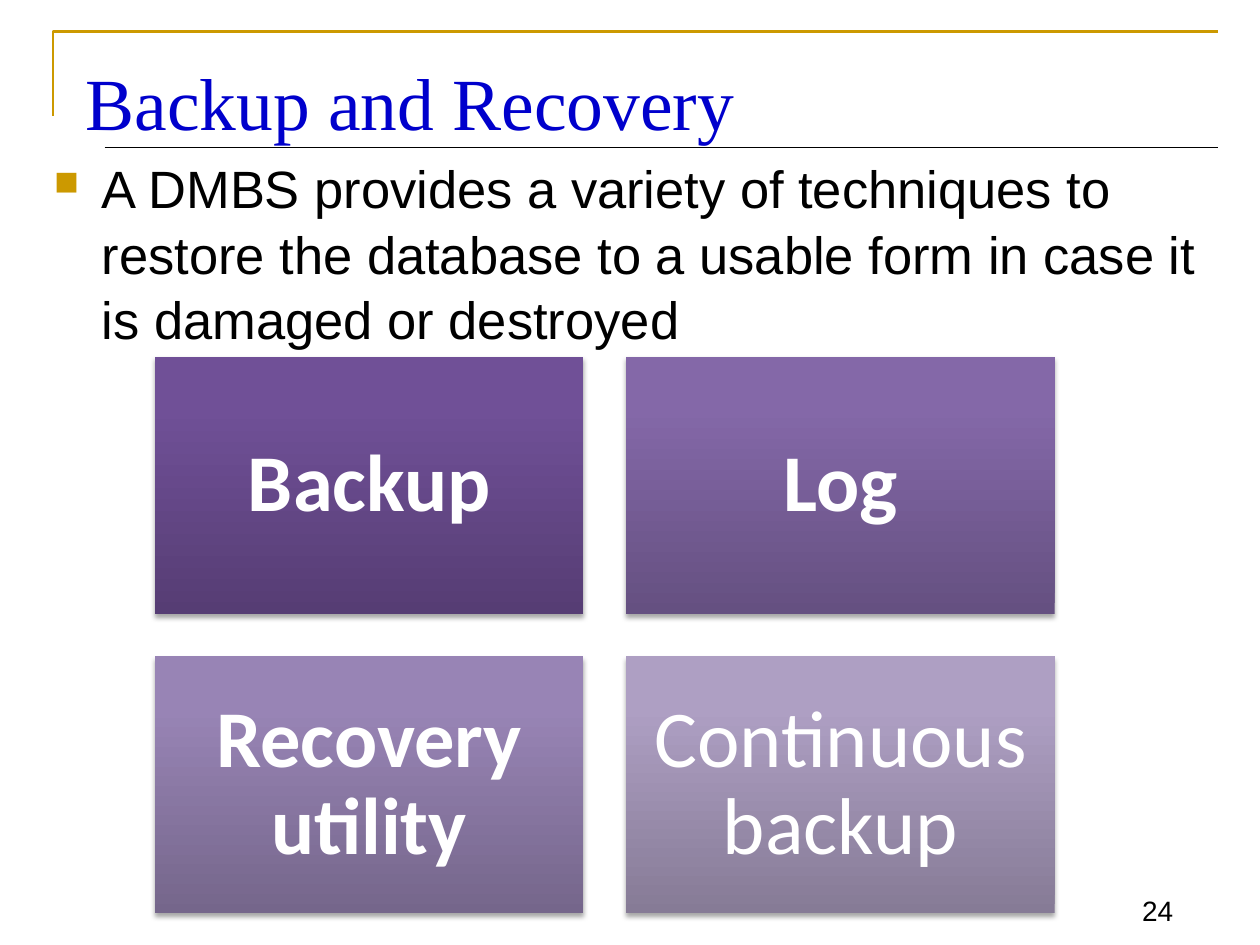
from copy import deepcopy

from lxml import etree
from pptx import Presentation
from pptx import util as u
from pptx.dml.color import RGBColor
from pptx.enum import shapes, text
from pptx.oxml import parse_xml
from pptx.oxml.ns import nsdecls, qn

GOLD = RGBColor(0xCC, 0x99, 0x00)
BLUE = RGBColor(0x00, 0x00, 0xCC)
BLACK = RGBColor(0x00, 0x00, 0x00)
WHITE = RGBColor(0xFF, 0xFF, 0xFF)

# Card label, bold, gradient colours from bottom to top
CARDS = [
    ("Backup", True, ("563D74", "705097", "704F99")),
    ("Log", True, ("655081", "8468A8", "8467AA")),
    ("Recovery utility", True, ("75668B", "9884B5", "9984B7")),
    ("Continuous backup", False, ("867B96", "AE9FC3", "AE9FC4")),
]
STOPS = (0, 0.8, 1)
SHADOW = (
    f'<a:effectLst {nsdecls("a")}><a:outerShdw blurRad="{u.Pt(3.1)}" '
    f'dist="{u.Pt(1.8)}" dir="5400000" rotWithShape="0"><a:srgbClr val="000000">'
    '<a:alpha val="35000"/></a:srgbClr></a:outerShdw></a:effectLst>'
)


class SlideBuilder:
    body_font = "Arial"
    title_font = "Times New Roman"
    card_font = "Calibri"

    def __init__(self, s):
        self.s = s

    def add_text(self, sp, content, size, font, color, bold=False):
        """Add one run to the first paragraph and return the paragraph."""
        tf = sp.text_frame
        tf.word_wrap = True
        p = tf.paragraphs[0]
        r = p.add_run()
        r.text = content
        r.font.size, r.font.name, r.font.bold = u.Pt(size), font, bold
        r.font.color.rgb = color
        return p

    def text_box(self, box, content, size, font, color):
        sp = self.s.shapes.add_textbox(*map(u.Inches, box))
        return sp, self.add_text(sp, content, size, font, color)

    def bullet(self, p, char, color, percent, indent):
        pPr = p._p.get_or_add_pPr()
        pPr.set("marL", str(u.Inches(indent)))
        pPr.set("indent", str(-u.Inches(indent)))
        clr = etree.SubElement(pPr, qn("a:buClr"))
        etree.SubElement(clr, qn("a:srgbClr"), val=str(color))
        etree.SubElement(pPr, qn("a:buSzPct"), val=str(percent * 1000))
        etree.SubElement(pPr, qn("a:buChar"), char=char)

    def rule(self, x1, x2, y, color, width):
        sp = self.s.shapes.add_connector(
            shapes.MSO_CONNECTOR.STRAIGHT, *map(u.Inches, (x1, y, x2, y)))
        sp.line.color.rgb = color
        sp.line.width = u.Pt(width)
        etree.SubElement(sp._element.spPr, qn("a:effectLst"))

    def outline(self, points, color, width):
        pts = [(u.Inches(x), u.Inches(y)) for x, y in points]
        fb = self.s.shapes.build_freeform(*pts[0])
        fb.add_line_segments(pts[1:], close=False)
        sp = fb.convert_to_shape()
        sp.shadow.inherit = False
        sp.fill.background()
        sp.line.color.rgb = color
        sp.line.width = u.Pt(width)

    def card(self, box, label, bold, colors):
        sp = self.s.shapes.add_shape(
            shapes.MSO_SHAPE.RECTANGLE, *map(u.Inches, box))
        sp.line.fill.background()
        sp.fill.gradient()
        sp.fill.gradient_angle = 90
        # The default gradient has two stops; a third is needed
        stops = sp._element.spPr.find(".//" + qn("a:gsLst"))
        stops.append(deepcopy(stops[-1]))
        for stop, pos, color in zip(sp.fill.gradient_stops, STOPS, colors):
            stop.position = pos
            stop.color.rgb = RGBColor.from_string(color)
        sp._element.spPr.append(parse_xml(SHADOW))
        tf = sp.text_frame
        tf.margin_left = tf.margin_right = u.Inches(0.19)
        tf.margin_top = tf.margin_bottom = u.Inches(0.19)
        tf.vertical_anchor = text.MSO_ANCHOR.MIDDLE
        p = self.add_text(sp, label, 46, self.card_font, WHITE, bold)
        p.alignment = text.PP_ALIGN.CENTER
        p.line_spacing = 0.9


def main():
    prs = Presentation()
    prs.slide_width, prs.slide_height = u.Inches(10), u.Inches(7.5)
    b = SlideBuilder(prs.slides.add_slide(prs.slide_layouts[6]))

    # Frame
    b.outline([(0.42, 0.92), (0.42, 0.25), (9.67, 0.25)], GOLD, 1.5)
    b.rule(0.83, 9.67, 1.17, BLACK, 0.75)

    # Page number
    sp, p = b.text_box((8.75, 6.92, 0.66, 0.49), "24", 16, b.body_font, BLACK)
    sp.text_frame.vertical_anchor = text.MSO_ANCHOR.BOTTOM
    p.alignment = text.PP_ALIGN.RIGHT

    # Title
    b.text_box((0.58, 0.4, 9.08, 0.75), "Backup and Recovery", 42,
               b.title_font, BLUE)

    # Body
    sp, p = b.text_box(
        (0.33, 1.17, 9.33, 1.67),
        "A DMBS provides a variety of techniques to restore the database "
        "to a usable form in case it is damaged or destroyed",
        30, b.body_font, BLACK)
    p.line_spacing = 1.04
    b.bullet(p, "■", GOLD, 65, 0.38)

    # Two by two cards
    left, top, width, height, gap = 1.23, 2.83, 3.4, 2.04, 0.34
    for i, (label, bold, colors) in enumerate(CARDS):
        row, col = divmod(i, 2)
        b.card((left + col * (width + gap), top + row * (height + gap),
                width, height), label, bold, colors)

    prs.save("out.pptx")


if __name__ == "__main__":
    main()
